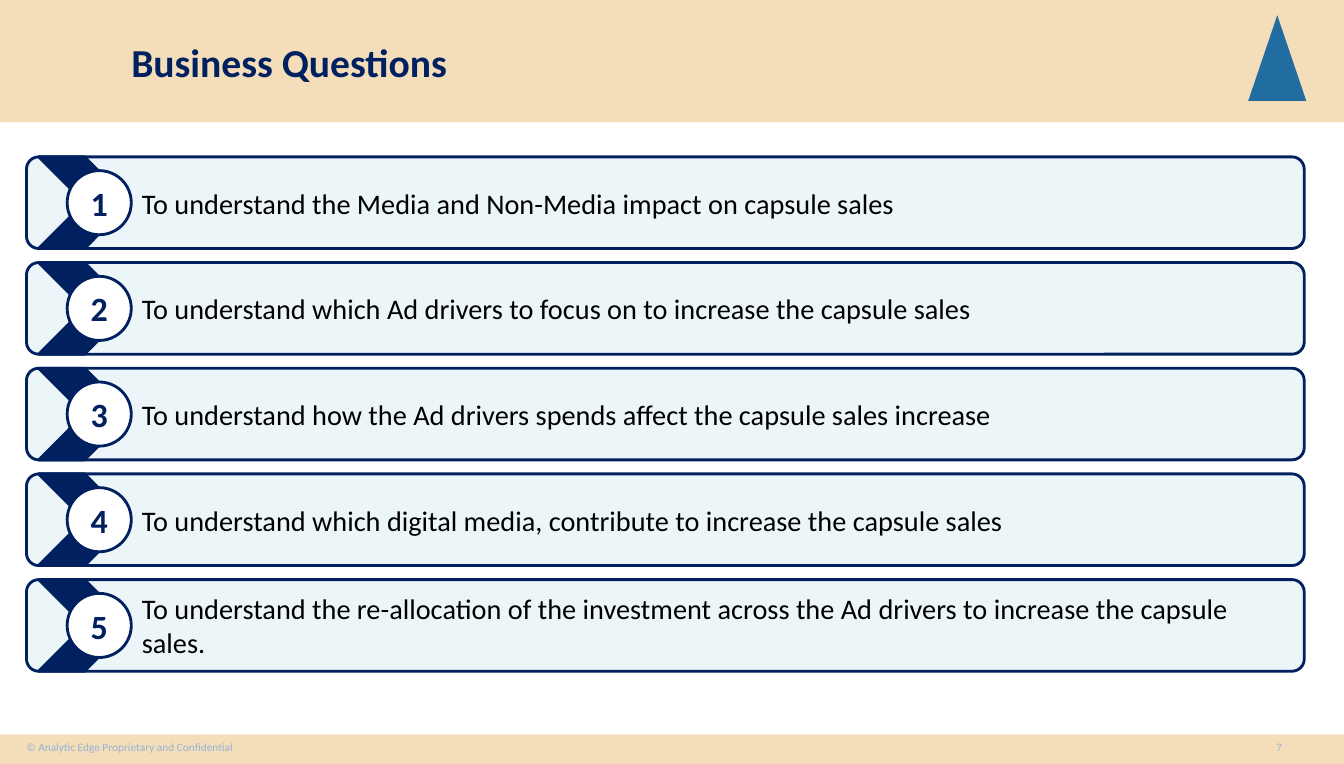
"""Build the Business Questions slide with five numbered question bars."""
import dataclasses

import lxml.etree
import pptx
import pptx.dml.color
import pptx.enum.shapes
import pptx.enum.text
import pptx.oxml.ns
import pptx.util

Inches = pptx.util.Inches
Kind = pptx.enum.shapes.MSO_SHAPE
Align = pptx.enum.text.PP_ALIGN
Anchor = pptx.enum.text.MSO_ANCHOR

COLORS = {
    "sand": "F4DEB9",
    "navy": "002060",
    "ice": "DBEEF4",
    "white": "FFFFFF",
    "black": "000000",
    "footer": "95B3D7",
    "emblem": "216CA0",
}
FIRST_TOP, LAST_TOP = 1.54, 5.69
BAR_HEIGHT = 0.9
BADGE_SIZE = 0.63


@dataclasses.dataclass
class Question:
    """A numbered question."""
    number: int
    text: str


QUESTIONS = [
    Question(1, "To understand the Media and Non-Media impact on capsule sales"),
    Question(2, "To understand which Ad drivers to focus on to increase the capsule sales"),
    Question(3, "To understand how the Ad drivers spends affect the capsule sales increase"),
    Question(4, "To understand which digital media, contribute to increase the capsule sales"),
    Question(5, "To understand the re-allocation of the investment across the Ad drivers "
                "to increase the capsule sales."),
]


def rgb(name: str) -> pptx.dml.color.RGBColor:
    """Return the named colour."""
    return pptx.dml.color.RGBColor.from_string(COLORS[name])


def write(box, text: str, *, size: float, color: str, bold: bool = False,
          align=Align.LEFT, anchor=Anchor.MIDDLE, indent: float = 0) -> None:
    """Put one formatted paragraph into a shape."""
    frame = box.text_frame
    frame.word_wrap = True
    frame.auto_size = pptx.enum.text.MSO_AUTO_SIZE.NONE
    frame.vertical_anchor = anchor
    para = frame.paragraphs[0]
    para.alignment = align
    if indent:
        para._p.get_or_add_pPr().set("marL", str(Inches(indent)))
    span = para.add_run()
    span.text = text
    span.font.name = "Calibri"
    span.font.size = pptx.util.Pt(size)
    span.font.bold = bold
    span.font.color.rgb = rgb(color)


def add_shape(page, kind, left: float, top: float, width: float, height: float, *,
              fill: str, line: str | None = None, opacity: int = 100):
    """Add a filled preset shape, with an optional outline."""
    shape = page.shapes.add_shape(
        kind, Inches(left), Inches(top), Inches(width), Inches(height))
    shape.shadow.inherit = False
    shape.fill.solid()
    shape.fill.fore_color.rgb = rgb(fill)
    if opacity < 100:
        color = shape.element.spPr.find(".//" + pptx.oxml.ns.qn("a:srgbClr"))
        alpha = lxml.etree.SubElement(color, pptx.oxml.ns.qn("a:alpha"))
        alpha.set("val", str(opacity * 1000))
    if line:
        shape.line.color.rgb = rgb(line)
        shape.line.width = pptx.util.Pt(2)
    else:
        shape.line.fill.background()
    return shape


def add_footer(page, text: str, left: float, width: float, align) -> None:
    """Add a small text on the bottom band."""
    box = page.shapes.add_textbox(Inches(left), Inches(7.22), Inches(width), Inches(0.4))
    write(box, text, size=8, color="footer", align=align, anchor=Anchor.TOP)


def add_question(page, question: Question, top: float) -> None:
    """Add a question bar with its chevron and number badge."""
    bar = add_shape(page, Kind.ROUNDED_RECTANGLE, 0.26, top, 12.55, BAR_HEIGHT,
                    fill="ice", line="navy", opacity=50)
    bar.adjustments[0] = 0.134
    write(bar, question.text, size=20, color="black", indent=1)
    add_shape(page, Kind.CHEVRON, 0.38, top, BAR_HEIGHT, BAR_HEIGHT,
              fill="navy", line="navy")
    badge = add_shape(page, Kind.OVAL, 0.66, top + (BAR_HEIGHT - BADGE_SIZE) / 2,
                      BADGE_SIZE, BADGE_SIZE, fill="white", line="navy")
    frame = badge.text_frame
    frame.margin_left = frame.margin_right = 0
    write(badge, str(question.number), size=24, color="navy", bold=True,
          align=Align.CENTER)


def main() -> None:
    """Build and save the deck."""
    deck = pptx.Presentation()
    deck.slide_width, deck.slide_height = Inches(13.2), Inches(7.5)
    page = deck.slides.add_slide(deck.slide_layouts[5])

    title = page.shapes.title
    title.left, title.top = Inches(1.19), Inches(0.18)
    title.width, title.height = Inches(10.85), Inches(0.86)
    write(title, "Business Questions", size=28, color="navy", bold=True)

    for top, height in ((0, 1.2), (7.21, 0.29)):
        band = add_shape(page, Kind.RECTANGLE, 0, top, 13.2, height, fill="sand")
        title.element.addprevious(band.element)
    add_shape(page, Kind.ISOSCELES_TRIANGLE, 12.26, 0.15, 0.57, 0.84, fill="emblem")

    add_footer(page, "7", 12.25, 0.63, Align.CENTER)
    add_footer(page, "© Analytic Edge Proprietary and Confidential", 0.16, 2.77, Align.LEFT)

    pitch = (LAST_TOP - FIRST_TOP) / (len(QUESTIONS) - 1)
    for index, question in enumerate(QUESTIONS):
        add_question(page, question, FIRST_TOP + index * pitch)

    deck.save("out.pptx")


if __name__ == "__main__":
    main()
